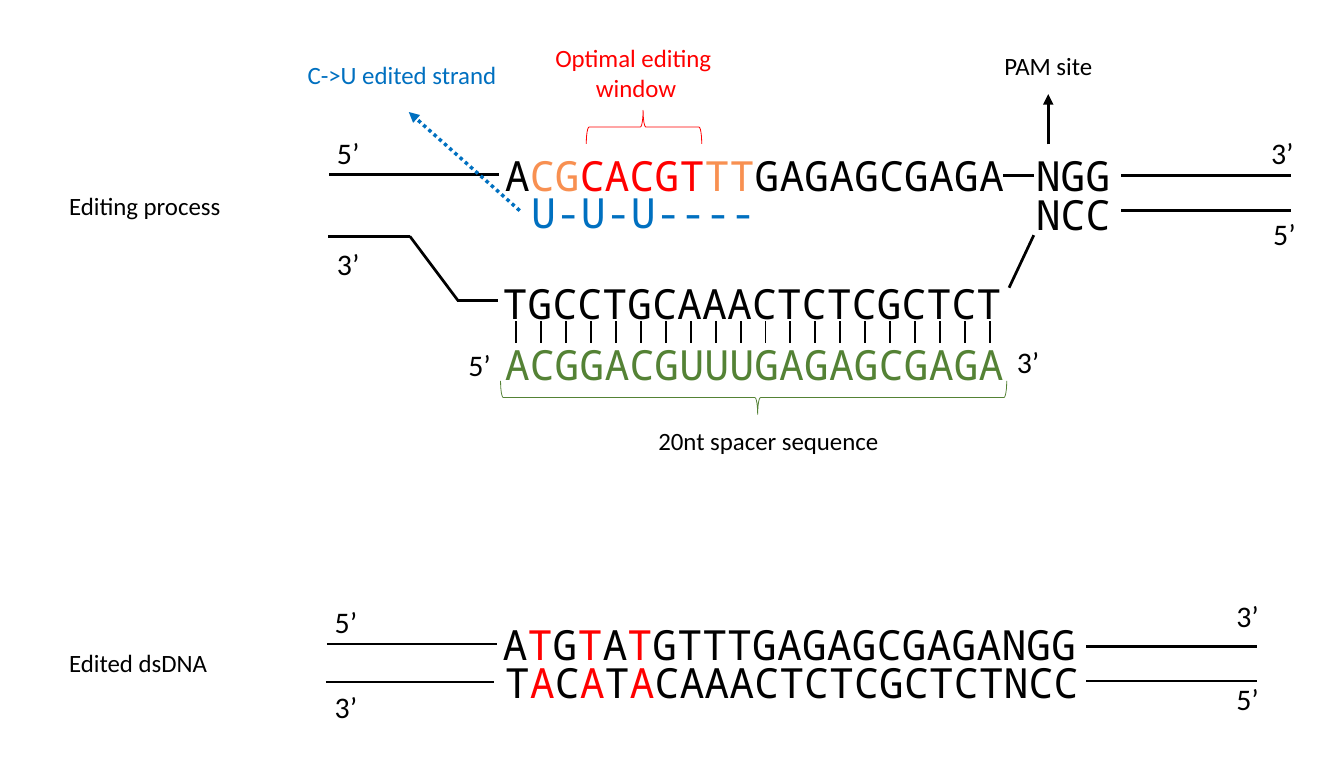
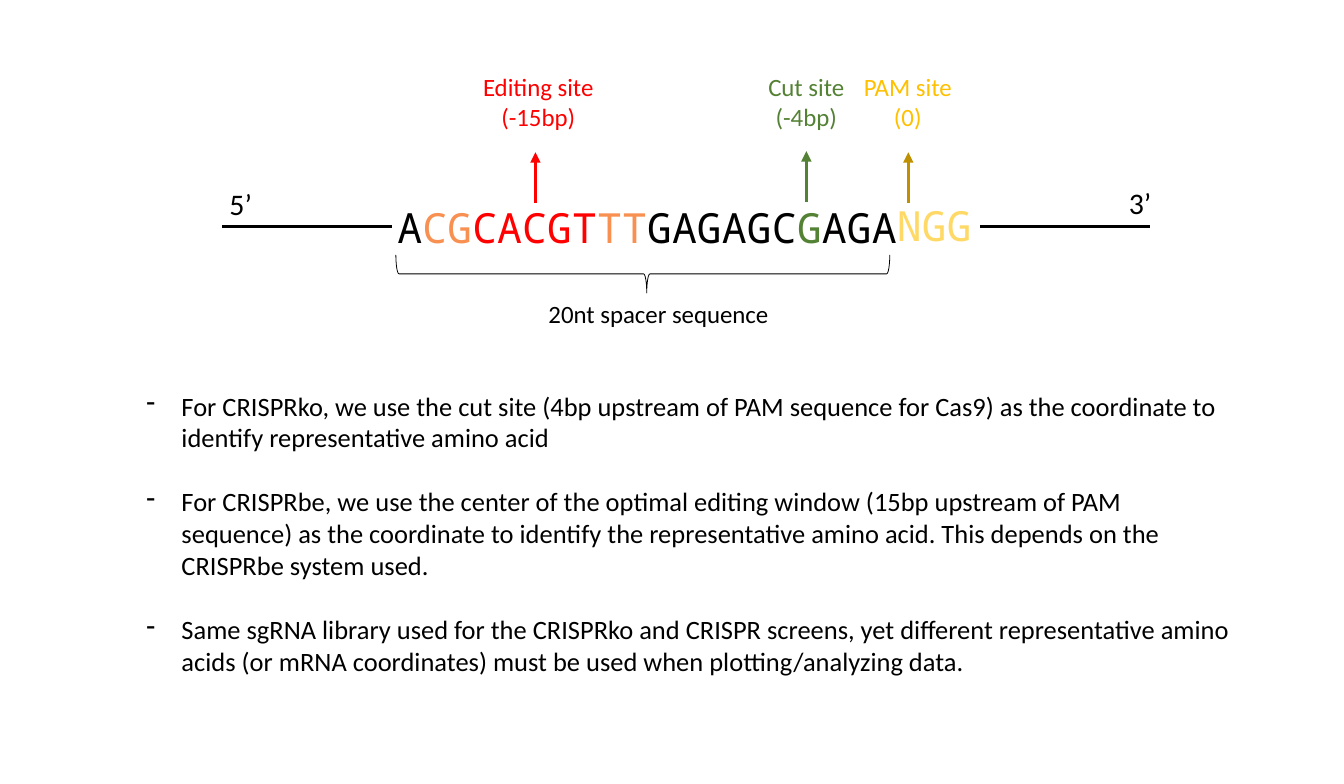
import dataclasses

import pptx
import pptx.dml.color
import pptx.enum.dml
import pptx.enum.shapes
import pptx.enum.text
import pptx.oxml
import pptx.oxml.ns
import pptx.util

Pt = pptx.util.Pt
qn = pptx.oxml.ns.qn
ALIGN = pptx.enum.text.PP_ALIGN


@dataclasses.dataclass(frozen=True)
class Theme:
    ink: str = "000000"
    red: str = "FF0000"
    orange: str = "F89051"
    green: str = "548235"
    blue: str = "0070C0"
    gold: str = "FFC000"
    dark_gold: str = "BF9000"
    pale_gold: str = "FFD966"
    sans: str = "Calibri"
    mono: str = "Noto Sans Mono"
    label: float = 16
    body: float = 17
    end: float = 19.2
    sequence: float = 26.7
    hairline: float = 0.5
    rung: float = 1.25
    strand: float = 1.75
    arrow: float = 2.25


def rgb(color):
    return pptx.dml.color.RGBColor.from_string(color)


def add_runs(p, pieces, *, size, font):
    for text, color in pieces:
        r = p.add_run()
        r.text = text
        r.font.size = Pt(size)
        r.font.name = font
        r.font.color.rgb = rgb(color)


class Diagram:
    def __init__(self, prs, theme):
        self.prs = prs
        self.theme = theme

    def new_slide(self):
        self.s = self.prs.slides.add_slide(self.prs.slide_layouts[6])
        self.shapes = self.s.shapes

    def start_group(self):
        self.shapes = self.s.shapes.add_group_shape().shapes

    def end_group(self):
        self.shapes = self.s.shapes

    def text(self, lines, x, y, w, h, *, size=None, font=None, color=None, align=ALIGN.LEFT):
        t = self.theme
        tf = self.shapes.add_textbox(Pt(x), Pt(y), Pt(w), Pt(h)).text_frame
        tf.word_wrap = True
        for i, line in enumerate(lines):
            p = tf.paragraphs[0] if i == 0 else tf.add_paragraph()
            p.alignment = align
            pieces = [(line, color or t.ink)] if isinstance(line, str) else line
            add_runs(p, pieces, size=size or t.label, font=font or t.sans)
        return tf

    def label(self, text, x, y, w, *, color=None, align=ALIGN.CENTER):
        lines = text.split("\n")
        self.text(lines, x, y, w, 7 + 19.5 * len(lines), color=color, align=align)

    def sequence(self, line, x, y, *, w=562, color=None, align=ALIGN.LEFT):
        t = self.theme
        self.text([line], x, y, w, 39.6, size=t.sequence, font=t.mono, color=color, align=align)

    def end(self, text, x, y, *, align=ALIGN.LEFT):
        self.text([text], x, y, 85, 30, size=self.theme.end, align=align)

    def bullets(self, lines, x, y, w, h, *, indent, gap):
        tf = self.text(lines, x, y, w, h, size=self.theme.body)
        for i, p in enumerate(tf.paragraphs):
            p.space_before = Pt(gap if i else 0)
            pPr = p._p.get_or_add_pPr()
            pPr.set("marL", str(Pt(indent)))
            pPr.set("indent", str(-Pt(indent)))
            bullet = pptx.oxml.parse_xml(
                '<a:buChar xmlns:a="http://schemas.openxmlformats.org/drawingml/2006/main" char="-"/>')
            pPr.append(bullet)

    def line(self, x1, y1, x2, y2, *, color=None, width=None, head=False, dash=None):
        c = self.shapes.add_connector(
            pptx.enum.shapes.MSO_CONNECTOR.STRAIGHT, Pt(x1), Pt(y1), Pt(x2), Pt(y2))
        c.line.color.rgb = rgb(color or self.theme.ink)
        c.line.width = Pt(width or self.theme.strand)
        if dash:
            c.line.dash_style = dash
        spPr = c._element.spPr
        if head:
            ln = spPr.find(qn("a:ln"))
            ln.append(ln.makeelement(qn("a:tailEnd"), {"type": "triangle"}))
        spPr.append(spPr.makeelement(qn("a:effectLst"), {}))

    def strand(self, x, y, length=109.4):
        self.line(x, y, x + length, y)

    def arrow(self, x1, y1, x2, y2, *, color=None, dash=None):
        self.line(x1, y1, x2, y2, color=color, width=self.theme.arrow, head=True, dash=dash)

    def brace(self, x, y, w, h, *, rotation, color):
        left, top = x + (w - h) / 2, y + (h - w) / 2
        sp = self.shapes.add_shape(
            pptx.enum.shapes.MSO_SHAPE.LEFT_BRACE, Pt(left), Pt(top), Pt(h), Pt(w))
        sp.rotation = rotation
        sp.adjustments[0] = 0.083
        sp.adjustments[1] = 0.508
        sp.shadow.inherit = False
        sp.fill.background()
        sp.line.color.rgb = rgb(color)
        sp.line.width = Pt(self.theme.hairline)


def edited(bases, t):
    start = [(base, t.red if i % 2 else t.ink) for i, base in enumerate(bases[:6])]
    return start + [(bases[6:], t.ink)]


def editing_slide(d, window):
    t = d.theme
    d.new_slide()

    d.sequence("ACGGACGUUUGAGAGCGAGA", 317.5, 214.6, color=t.green)
    d.sequence(window + [("GAGAGCGAGA", t.ink)], 317.5, 92.9)
    d.sequence("TGCCTGCAAACTCTCGCTCT", 316.1, 175)
    d.sequence("NGG", 658.8, 92.9, w=74)
    d.sequence("NCC", 658.8, 118.1, w=74)
    d.sequence("U-U-U----", 316.8, 116.6, w=193.7, color=t.blue, align=ALIGN.CENTER)

    d.strand(211.7, 112.3)
    d.strand(720.7, 113)
    d.strand(720.7, 135.4)
    d.strand(211, 151.9, 52.5)
    d.line(263.5, 151.9, 294.5, 193.3)
    d.strand(293.8, 193, 26.6)
    d.line(648.7, 185, 664.6, 151.2)
    d.strand(645.1, 113, 19.5)

    d.start_group()
    pitch = t.sequence * 0.6
    for i in range(20):
        x = 331.9 + i * pitch
        d.line(x, 206.6, x, 220.3, width=t.rung)
    d.end_group()

    d.end("5’", 209.5, 82.8)
    d.end("3’", 209.5, 154.1)
    d.end("3’", 810, 82.8)
    d.end("5’", 811.4, 135.4)
    d.end("5’", 237.6, 219.6, align=ALIGN.RIGHT)
    d.end("3’", 646.6, 217.4)

    d.brace(321.8, 244.8, 325.4, 21.6, rotation=270, color=t.green)
    d.brace(376.9, 70.9, 74.2, 21.6, rotation=90, color=t.red)
    d.arrow(673.9, 92.9, 673.9, 60.5)
    d.arrow(334.1, 135.4, 262.8, 72, color=t.blue, dash=pptx.enum.dml.MSO_LINE.ROUND_DOT)

    d.label("PAM site", 638.6, 28.8, 133, align=ALIGN.LEFT)
    d.label("Optimal editing \nwindow", 295.9, 23.8, 226, color=t.red)
    d.label("C->U edited strand", 145.4, 34.6, 226, color=t.blue)
    d.label("20nt spacer sequence", 308.2, 270, 371.5)
    d.label("Editing process", 37.4, 118.8, 133, align=ALIGN.LEFT)
    d.label("Edited dsDNA", 37.4, 412.6, 133, align=ALIGN.LEFT)

    d.start_group()
    d.sequence(edited("ATGTATGTTTGAGAGCGAGANGG", t), 316.1, 394.6)
    d.sequence(edited("TACATACAAACTCTCGCTCTNCC", t), 317.5, 419)
    d.strand(210.2, 414)
    d.strand(209.5, 438.5, 108)
    d.strand(698.4, 415.4)
    d.strand(698.4, 437.8)
    d.end("5’", 208.1, 384.5)
    d.end("3’", 208.1, 439.2)
    d.end("3’", 787.7, 380.9)
    d.end("5’", 787.7, 434.2)
    d.end_group()


def coordinate_slide(d, window):
    t = d.theme
    d.new_slide()

    spacer = window + [("GAGAGC", t.ink), ("G", t.green), ("AGA", t.ink)]
    d.sequence(spacer, 248.4, 126)
    d.sequence("NGG", 569.5, 125.3, w=74, color=t.pale_gold)
    d.strand(142.6, 145.4)
    d.strand(630, 145.4)
    d.end("5’", 140.4, 115.9)
    d.end("3’", 718.6, 115.2)

    sites = [
        ("Editing site\n(-15bp)", 279.4, 133.2, t.red, 344.2, 130.3, t.red),
        ("Cut site\n(-4bp)", 483.8, 69.1, t.green, 518.4, 129.6, t.green),
        ("PAM site\n(0)", 546.5, 74.2, t.gold, 583.9, 130.3, t.dark_gold),
    ]
    for text, x, w, color, arrow_x, arrow_y, arrow_color in sites:
        d.label(text, x, 42.5, w, color=color)
        d.arrow(arrow_x, arrow_y, arrow_x, arrow_y - 32.4, color=arrow_color)

    d.brace(254.5, 163.8, 317.5, 24.5, rotation=270, color=t.ink)
    d.label("20nt spacer sequence", 237.6, 188.6, 371.5)

    d.bullets([
        "For CRISPRko, we use the cut site (4bp upstream of PAM sequence for Cas9) "
        "as the coordinate to identify representative amino acid",
        "For CRISPRbe, we use the center of the optimal editing window (15bp upstream "
        "of PAM sequence) as the coordinate to identify the representative amino acid. "
        "This depends on the CRISPRbe system used.",
        "Same sgRNA library used for the CRISPRko and CRISPR screens, yet different "
        "representative amino acids (or mRNA coordinates) must be used when "
        "plotting/analyzing data.",
    ], 87.1, 247, 710.6, 193, indent=22.5, gap=20.75)


def main():
    t = Theme()
    prs = pptx.Presentation()
    prs.slide_width, prs.slide_height = Pt(864), Pt(504)
    d = Diagram(prs, t)
    window = [("A", t.ink), ("CG", t.orange), ("CACGT", t.red), ("TT", t.orange)]
    editing_slide(d, window)
    coordinate_slide(d, window)
    prs.save("out.pptx")


main()
